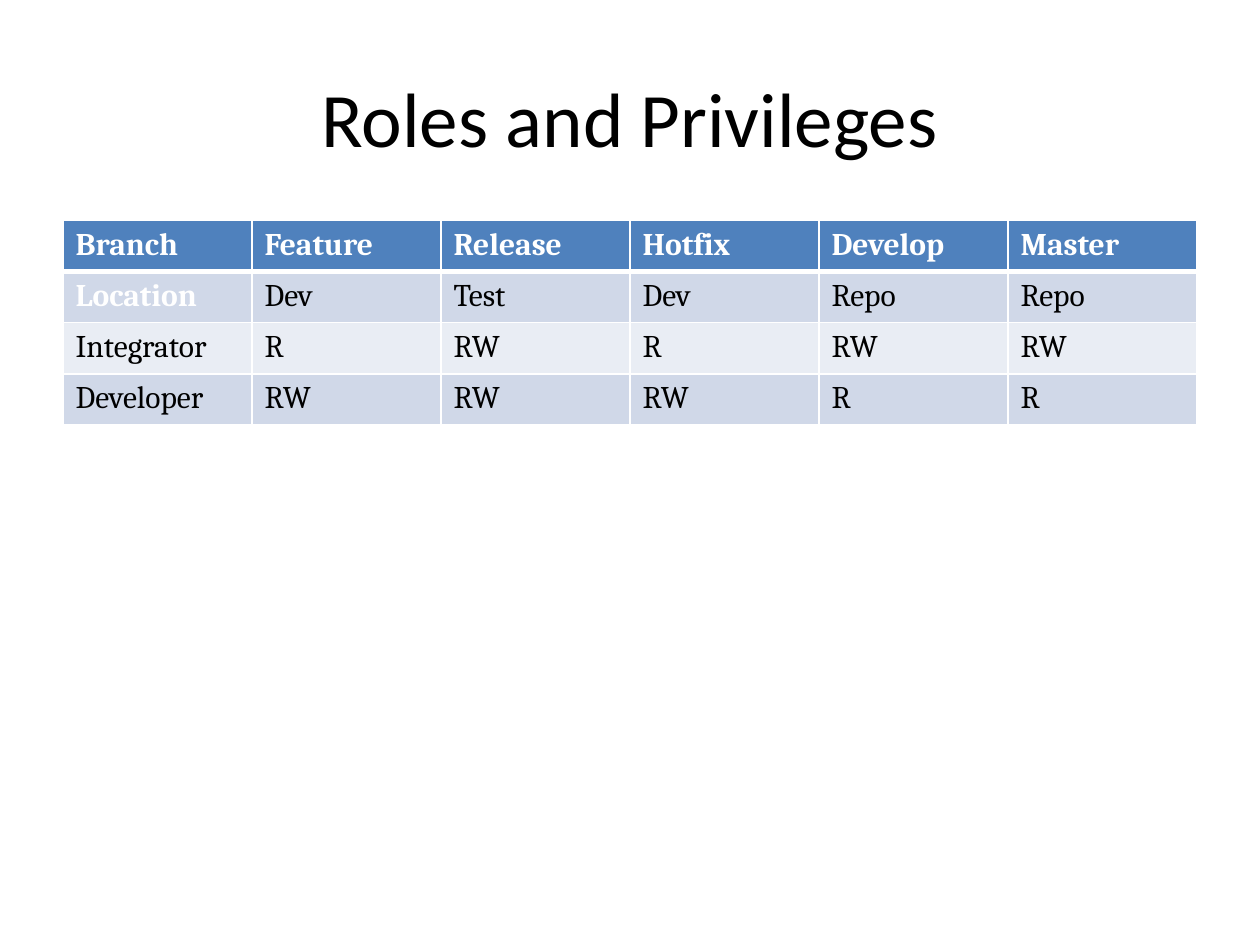
from lxml import etree
from pptx import Presentation
from pptx import util as u
from pptx.dml.color import RGBColor
from pptx.enum import text
from pptx.oxml import ns

BLACK = RGBColor(0x00, 0x00, 0x00)
WHITE = RGBColor(0xFF, 0xFF, 0xFF)
HEADER = RGBColor(0x4F, 0x81, 0xBD)
BANDS = (RGBColor(0xE9, 0xED, 0xF4), RGBColor(0xD0, 0xD8, 0xE8))

ROLES = (
    ("Branch", "Feature", "Release", "Hotfix", "Develop", "Master"),
    ("Location", "Dev", "Test", "Dev", "Repo", "Repo"),
    ("Integrator", "R", "RW", "R", "RW", "RW"),
    ("Developer", "RW", "RW", "RW", "R", "R"),
)


class Deck:
    """Holds the style and the current slide."""
    title_font, title_size = "Calibri", 44
    cell_font, cell_size = "Cambria", 18

    def __init__(self, prs):
        self.s = prs.slides.add_slide(prs.slide_layouts[6])

    def run(self, p, words, font, size, color, bold=False):
        r = p.add_run()
        r.text = words
        r.font.name, r.font.size, r.font.bold = font, u.Pt(size), bold
        r.font.color.rgb = color

    def title(self, words, left, top, width, height):
        sp = self.s.shapes.add_textbox(*map(u.Pt, (left, top, width, height)))
        tf = sp.text_frame
        tf.word_wrap = True
        tf.vertical_anchor = text.MSO_ANCHOR.MIDDLE
        p = tf.paragraphs[0]
        p.alignment = text.PP_ALIGN.CENTER
        self.run(p, words, self.title_font, self.title_size, BLACK)

    def borders(self, cell, **widths):
        tc_pr = cell._tc.get_or_add_tcPr()
        for i, side in enumerate("LRTB"):
            ln = etree.Element(ns.qn("a:ln" + side),
                               w=str(u.Pt(widths.get(side, 1))))
            fill = etree.SubElement(ln, ns.qn("a:solidFill"))
            etree.SubElement(fill, ns.qn("a:srgbClr"), val=str(WHITE))
            tc_pr.insert(i, ln)

    def table(self, rows, left, top, width, height):
        box = map(u.Pt, (left, top, width, height))
        table = self.s.shapes.add_table(len(rows), len(rows[0]), *box).table
        for i, row in enumerate(rows):
            for j, words in enumerate(row):
                cell = table.cell(i, j)
                cell.fill.solid()
                cell.fill.fore_color.rgb = BANDS[i % 2] if i else HEADER
                # Thick rule between the header and the body
                self.borders(cell, **{0: {"B": 3}, 1: {"T": 3}}.get(i, {}))
                strong = i == 0 or words == "Location"
                self.run(cell.text_frame.paragraphs[0], words, self.cell_font,
                         self.cell_size, WHITE if strong else BLACK, strong)


def main():
    prs = Presentation()
    prs.slide_width, prs.slide_height = u.Pt(720), u.Pt(540)
    deck = Deck(prs)

    # Title
    deck.title("Roles and Privileges", 36, 21.6, 648, 90)

    # Access rights by role and branch
    deck.table(ROLES, 36, 126, 648, 116.8)

    prs.save("out.pptx")


if __name__ == "__main__":
    main()
